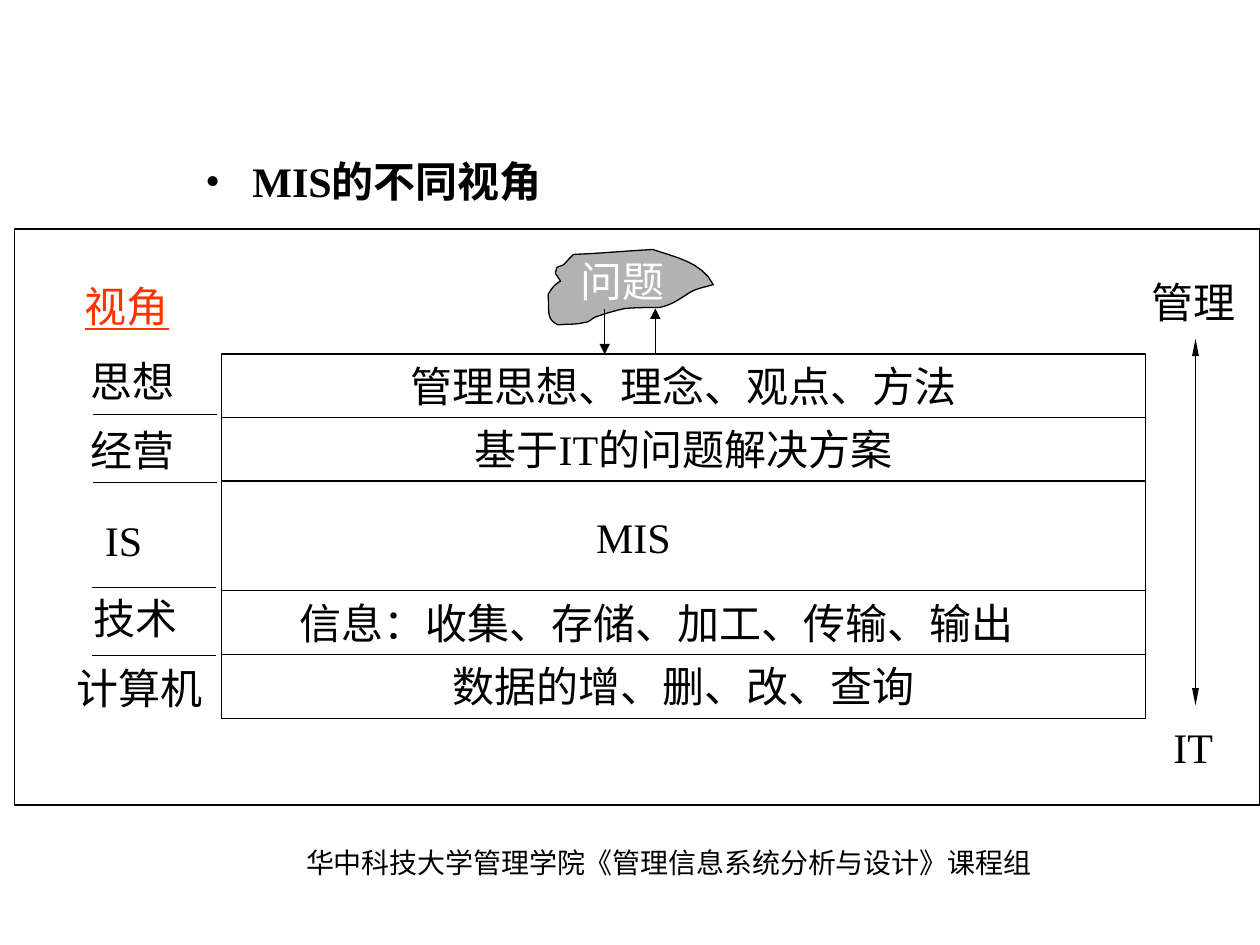
from itertools import accumulate

from lxml.etree import SubElement
from pptx import Presentation
from pptx.dml.color import RGBColor
from pptx.enum.shapes import MSO_CONNECTOR, MSO_SHAPE
from pptx.enum.text import PP_ALIGN
from pptx.oxml.ns import qn
from pptx.util import Cm, Pt

COLORS = {"ink": "000000", "paper": "FFFFFF", "accent": "FF3300", "cloud": "B2B2B2"}
FONT = "Times New Roman"
LINE_HEIGHT = 1.27

# Label, left, top
VIEWS = [("思想", 0.39, 2.42), ("经营", 0.39, 3.81), ("IS", 0.21, 5.62),
         ("技术", 0.46, 7.19), ("计算机", 0.54, 8.61)]
# Left, top
DIVIDERS = [(1.58, 3.74), (1.58, 5.11), (1.55, 7.22), (1.55, 8.59)]
# Text, layer height, text offset from the layer's left and top, text width
LAYERS = [("管理思想、理念、观点、方法", 1.28, 0, 0, 18.62),
          ("基于IT的问题解决方案", 1.28, 0, 0, 18.62),
          ("MIS", 2.2, 7.21, 0.49, 2.18),
          ("信息：收集、存储、加工、传输、输出", 1.3, 1.02, 0.02, 15.5),
          ("数据的增、删、改、查询", 1.28, 0, 0, 18.62)]
# Bezier outline: a start point, then two controls and an end point per curve
CLOUD_START = (0.30, 0.64)
CLOUD_CURVES = [
    ((0.25, 0.66), (0.23, 0.69), (0.20, 0.71)),
    ((0.13, 0.76), (0.05, 0.91), (0.05, 0.91)),
    ((0.08, 1.24), (0.00, 1.40), (0.25, 1.52)),
    ((0.43, 1.50), (0.61, 1.52), (0.79, 1.47)),
    ((0.89, 1.47), (0.94, 1.37), (1.04, 1.35)),
    ((1.17, 1.30), (1.45, 1.22), (1.60, 1.19)),
    ((1.83, 1.17), (2.06, 1.17), (2.29, 1.17)),
    ((2.54, 1.12), (2.67, 1.02), (2.87, 0.89)),
    ((3.02, 0.79), (3.20, 0.76), (3.38, 0.71)),
    ((3.15, 0.25), (2.59, 0.15), (2.16, 0.00)),
    ((1.63, 0.03), (1.09, 0.08), (0.56, 0.10)),
    ((0.30, 0.36), (0.43, 0.28), (0.23, 0.36)),
    ((0.18, 0.53), (0.18, 0.43), (0.30, 0.64)),
]


def color(name):
    return RGBColor.from_string(COLORS[name])


def add_text(page, text, left, top, width, height=LINE_HEIGHT, size=24, ink="ink",
             align=PP_ALIGN.CENTER, bold=False, underline=False, bullet=False):
    box = page.shapes.add_textbox(Cm(left), Cm(top), Cm(width), Cm(height))
    box.text_frame.word_wrap = True
    para = box.text_frame.paragraphs[0]
    para.add_run().text = text
    para.alignment = align
    if bullet:
        properties = para._p.get_or_add_pPr()
        properties.set("marL", str(Cm(0.95)))
        properties.set("indent", str(-Cm(0.95)))
        SubElement(properties, qn("a:buFont")).set("typeface", FONT)
        SubElement(properties, qn("a:buChar")).set("char", "•")
    font = para.font
    font.name, font.size, font.bold, font.underline = FONT, Pt(size), bold, underline
    font.color.rgb = color(ink)


def style_shape(shape, fill=None):
    shape.shadow.inherit = False
    if fill:
        shape.fill.solid()
        shape.fill.fore_color.rgb = color(fill)
    else:
        shape.fill.background()
    shape.line.color.rgb = color("ink")
    shape.line.width = Pt(0.75)


def add_rectangle(page, left, top, width, height, fill=None):
    shape = page.shapes.add_shape(MSO_SHAPE.RECTANGLE, Cm(left), Cm(top), Cm(width), Cm(height))
    style_shape(shape, fill)


def add_line(page, x1, y1, x2, y2, ends=(), weight=0.75, head_size=("med", "med")):
    line = page.shapes.add_connector(MSO_CONNECTOR.STRAIGHT, Cm(x1), Cm(y1), Cm(x2), Cm(y2))
    line.line.color.rgb = color("ink")
    line.line.width = Pt(weight)
    for end in ends:
        head = SubElement(line.line._get_or_add_ln(), qn(f"a:{end}"))
        head.set("type", "triangle")
        head.set("w", head_size[0])
        head.set("len", head_size[1])
    SubElement(line._element.spPr, qn("a:effectLst"))


def curve_points(start, curves, steps=8):
    points = []
    for first, second, end in curves:
        for step in range(1, steps + 1):
            t = step / steps
            u = 1 - t
            points.append(tuple(u**3 * a + 3 * u * u * t * b + 3 * u * t * t * c + t**3 * d
                                for a, b, c, d in zip(start, first, second, end)))
        start = end
    return points


def add_views(page, left, top):
    """Column of viewpoints with dividing lines."""
    add_text(page, "视角", left + 0.28, top + 0.92, 3.96, ink="accent", underline=True)
    for text, x, y in VIEWS:
        add_text(page, text, left + x, top + y, 3.96)
    for x, y in DIVIDERS:
        add_line(page, left + x, top + y, left + x + 2.5, top + y)


def add_layers(page, left, top, width):
    """Stack of system layers."""
    tops = accumulate((layer[1] for layer in LAYERS), initial=top)
    for (text, height, x, y, text_width), layer_top in zip(LAYERS, tops):
        add_rectangle(page, left, layer_top, width, height)
        add_text(page, text, left + x, layer_top + y, text_width)


def add_scale(page, left, top, width):
    """Double arrow from management to IT."""
    add_text(page, "管理", left, top, width)
    add_line(page, left + 1.39, top + 1.39, left + 1.39, top + 8.78,
             ("headEnd", "tailEnd"), 1, ("sm", "lg"))
    add_text(page, "IT", left, top + 8.99, width)


def add_problem(page, left, top):
    """Problem cloud with arrows to and from the layers."""
    start_x, start_y = CLOUD_START
    builder = page.shapes.build_freeform(Cm(left + start_x), Cm(top + start_y))
    builder.add_line_segments([(Cm(left + x), Cm(top + y))
                               for x, y in curve_points(CLOUD_START, CLOUD_CURVES)])
    style_shape(builder.convert_to_shape(), "cloud")
    add_text(page, "问题", left + 0.46, top, 2.5, ink="paper", align=PP_ALIGN.LEFT)
    add_line(page, left + 1.19, top + 1.19, left + 1.19, top + 2.11, ["tailEnd"])
    add_line(page, left + 2.21, top + 2.11, left + 2.21, top + 1.19, ["tailEnd"])


def add_diagram(page, left, top, width, height):
    add_rectangle(page, left, top, width, height, "paper")
    add_views(page, left, top)
    add_layers(page, left + 4.17, top + 2.52, 18.62)
    add_scale(page, left + 22.41, top + 0.82, 2.69)
    add_problem(page, left + 10.7, top + 0.41)


def main():
    deck = Presentation()
    deck.slide_width, deck.slide_height = Cm(25.4), Cm(19.05)
    page = deck.slides.add_slide(deck.slide_layouts[6])
    # Footer, heading, diagram
    add_text(page, "华中科技大学管理学院《管理信息系统分析与设计》课程组", 5.92, 16.92, 15.6, 0.94,
             size=16, align=PP_ALIGN.LEFT)
    add_text(page, "MIS的不同视角", 3.89, 3.02, 21.51, 16.03,
             align=PP_ALIGN.LEFT, bold=True, bullet=True)
    add_diagram(page, 0.3, 4.62, 25.1, 11.61)
    deck.save("out.pptx")


if __name__ == "__main__":
    main()
